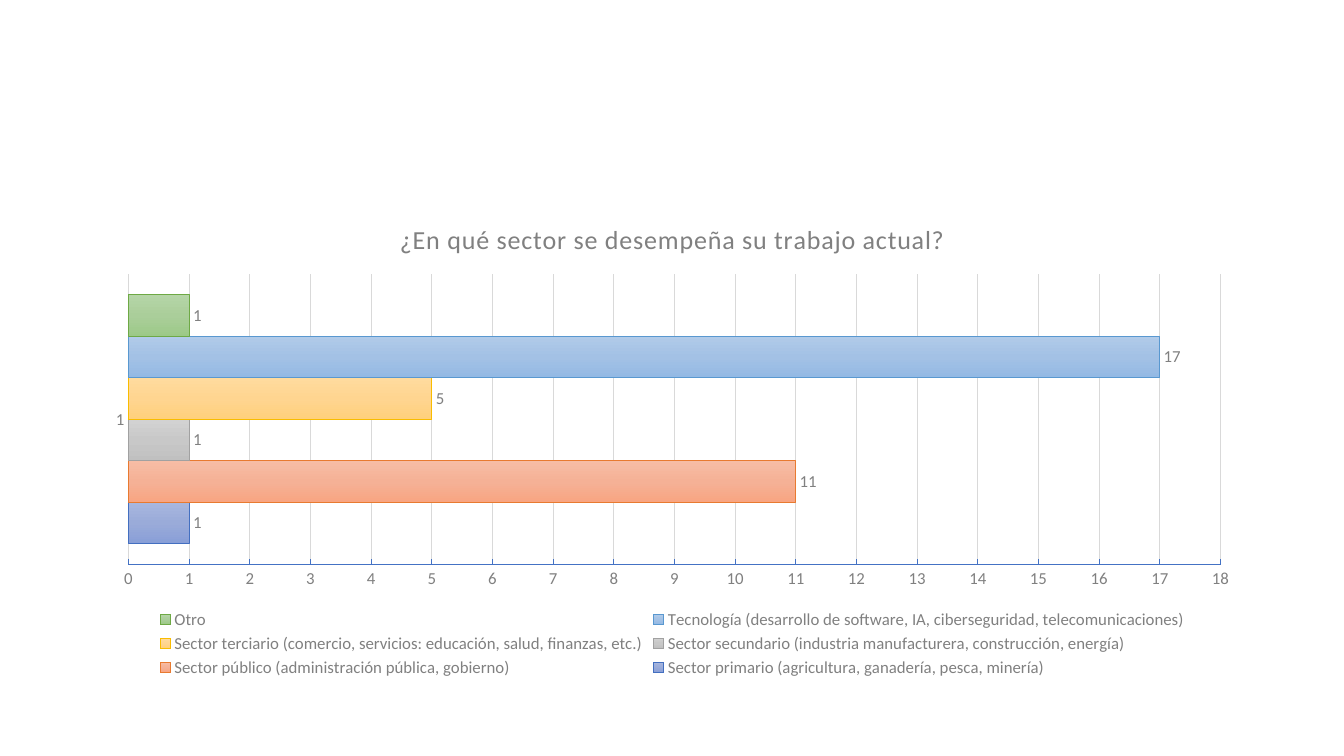
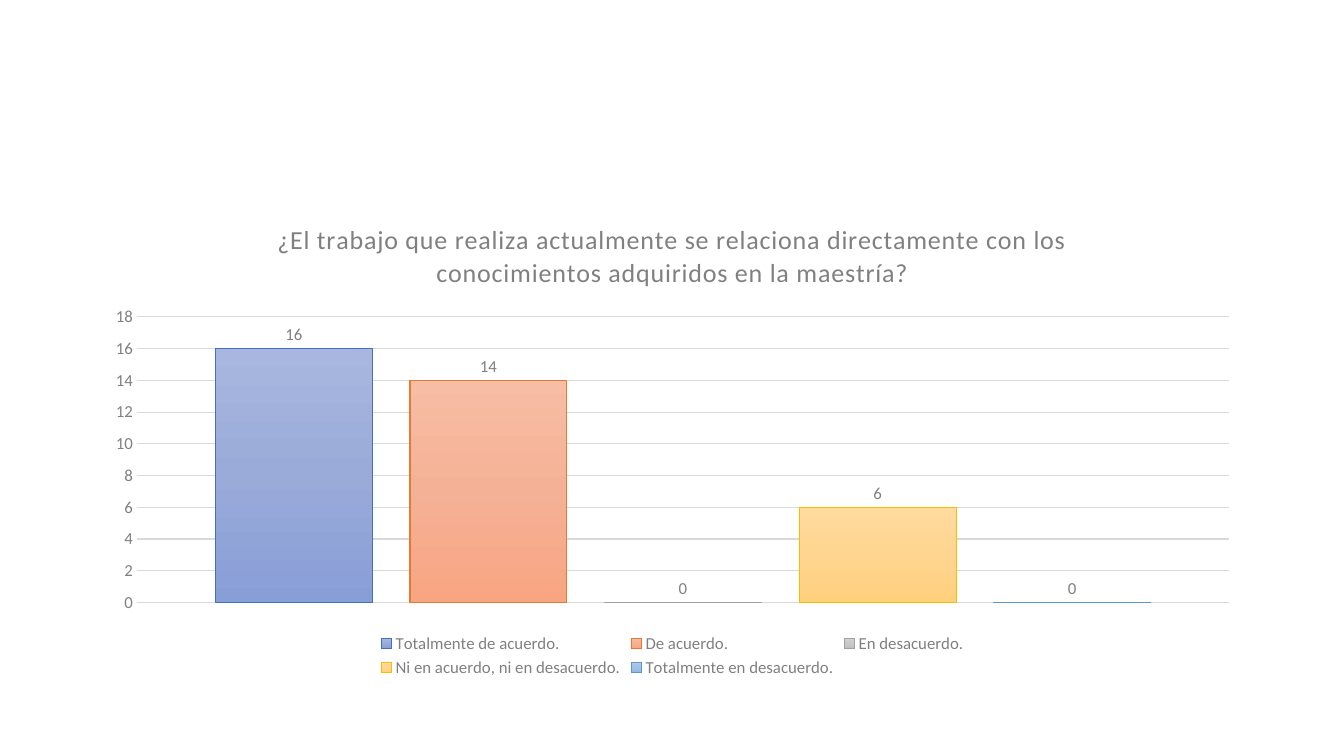
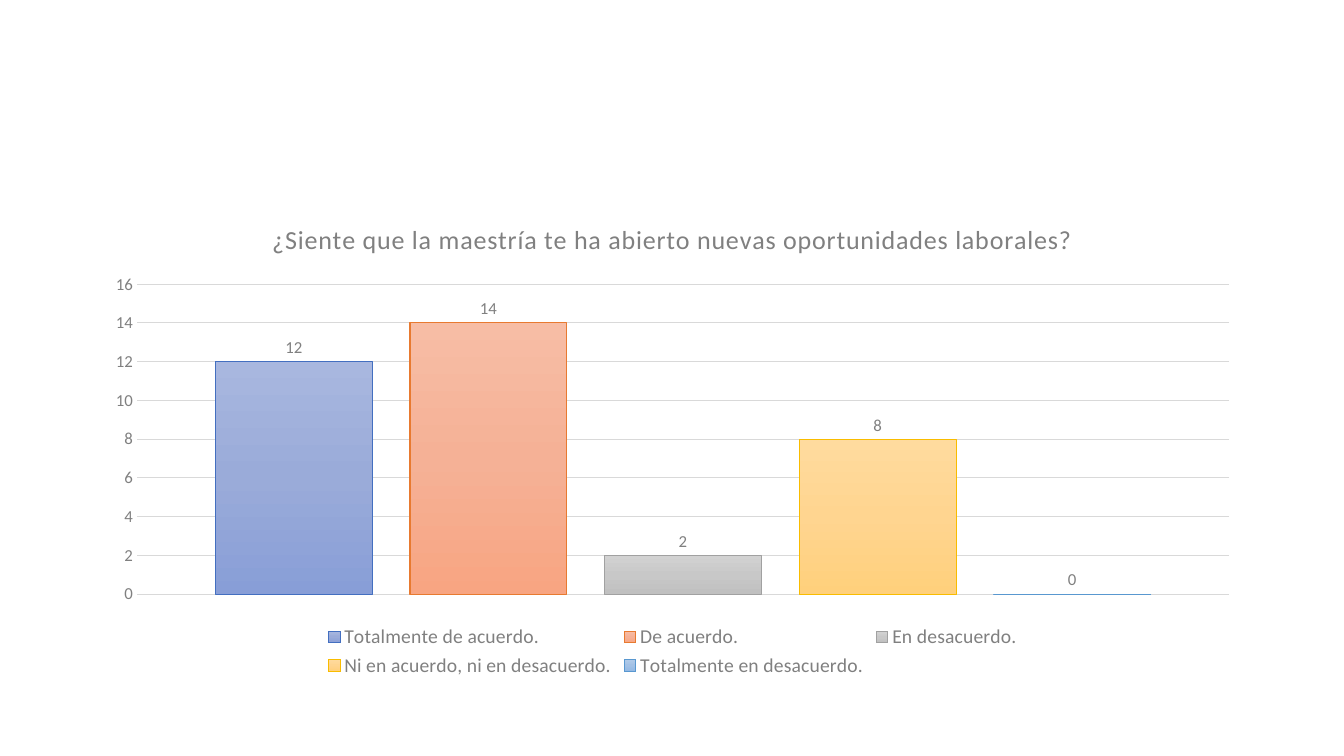
from lxml.etree import SubElement
from pptx import Presentation
from pptx.chart.data import CategoryChartData
from pptx.dml.color import RGBColor
from pptx.enum.chart import XL_CHART_TYPE as ChartType
from pptx.enum.chart import XL_LABEL_POSITION as LabelPosition
from pptx.enum.chart import XL_LEGEND_POSITION as LegendPosition
from pptx.enum.chart import XL_TICK_LABEL_POSITION as TickLabels
from pptx.enum.chart import XL_TICK_MARK as TickMark
from pptx.oxml.ns import qn
from pptx.util import Inches, Pt

FONT = "Calibri"
GREY = "808080"
GRID = "D9D9D9"
AXIS_BLUE = "4472C4"
SERIES_STYLES = [
    (("A8B7DF", "9AABD9", "889ED7"), "436FC0"),
    (("F7BDA5", "F5B196", "F8A582"), "E87A30"),
    (("D2D2D2", "C8C8C8", "C0C0C0"), "A1A1A1"),
    (("FFDB9E", "FFD590", "FFD07C"), "F9BC00"),
    (("B1CBE9", "A3C1E5", "93B9E4"), "5998D0"),
    (("B5D5A7", "AACE9A", "9CC987"), "6EA945"),
]
SECTORS = [
    ("Sector primario (agricultura, ganadería, pesca, minería)", 1),
    ("Sector público (administración pública, gobierno)", 11),
    ("Sector secundario (industria manufacturera, construcción, energía)", 1),
    ("Sector terciario (comercio, servicios: educación, salud, finanzas, etc.)", 5),
    ("Tecnología (desarrollo de software, IA, ciberseguridad, telecomunicaciones)", 17),
    ("Otro", 1),
]
AGREEMENT = [
    "Totalmente de acuerdo.",
    "De acuerdo.",
    "En desacuerdo.",
    "Ni en acuerdo, ni en desacuerdo.",
    "Totalmente en desacuerdo.",
]


def color(value):
    """Turn a hex string into a colour."""
    return RGBColor.from_string(value)


def style_font(font, size=12):
    """Apply the shared chart font."""
    font.name = FONT
    font.size = Pt(size)
    font.bold = False
    font.color.rgb = color(GREY)


def style_line(line, value):
    """Give a line its colour and the shared width."""
    line.color.rgb = color(value)
    line.width = Pt(0.75)


def fill_gradient(fill, shades):
    """Fill from top to bottom through evenly spaced shades."""
    fill.gradient()
    fill.gradient_angle = 270
    stops = fill.gradient_stops[0]._gs.getparent()
    for stop in list(stops):
        stops.remove(stop)
    for index, shade in enumerate(shades):
        position = 100000 * index // (len(shades) - 1)
        stop = SubElement(stops, qn("a:gs"), pos=str(position))
        SubElement(stop, qn("a:srgbClr"), val=shade)


def set_title(chart, text):
    """Write the chart title with slightly open letters."""
    chart.has_title = True
    chart.chart_title.include_in_layout = False
    para = chart.chart_title.text_frame.paragraphs[0]
    span = para.add_run()
    span.text = text
    style_font(span.font, 18.6)
    span.font._element.set("spc", "50")


def style_series(series, shades, outline):
    """Paint one series and show its values."""
    fill_gradient(series.format.fill, shades)
    style_line(series.format.line, outline)
    series.invert_if_negative = False
    labels = series.data_labels
    labels.show_value = True
    labels.position = LabelPosition.OUTSIDE_END
    style_font(labels.font)


def style_value_axis(axis):
    """Set the gridlines, labels and ticks of the value axis."""
    axis.minimum_scale = 0
    axis.has_major_gridlines = True
    style_line(axis.major_gridlines.format.line, GRID)
    axis.major_tick_mark = TickMark.NONE
    axis.minor_tick_mark = TickMark.NONE
    axis.tick_label_position = TickLabels.NEXT_TO_AXIS
    axis.format.line.fill.background()
    style_font(axis.tick_labels.font)


def add_survey_chart(deck, kind, title, answers, overlap=0, legend_size=12):
    """Add a slide with the chart of one survey question."""
    page = deck.slides.add_slide(deck.slide_layouts[6])
    data = CategoryChartData()
    data.categories = ["1"]
    for name, count in answers:
        data.add_series(name, [count])
    frame = page.shapes.add_chart(
        kind, Inches(0.92), Inches(2), Inches(11.5), Inches(4.76), data
    )
    chart = frame.chart
    chart.font.name = FONT
    chart.font.size = Pt(10)
    set_title(chart, title)
    chart.has_legend = True
    chart.legend.position = LegendPosition.BOTTOM
    chart.legend.include_in_layout = False
    style_font(chart.legend.font, legend_size)
    plot = chart.plots[0]
    plot.gap_width = 100
    plot.overlap = overlap
    plot.vary_by_categories = False
    for series, (shades, outline) in zip(plot.series, SERIES_STYLES):
        style_series(series, shades, outline)
    style_value_axis(chart.value_axis)
    return chart


def add_sector_chart(deck):
    """Add the bar chart of work sectors with both axes shown."""
    chart = add_survey_chart(
        deck, ChartType.BAR_CLUSTERED,
        "¿En qué sector se desempeña su trabajo actual?", SECTORS,
    )
    chart.value_axis.major_unit = 1
    chart.value_axis.major_tick_mark = TickMark.INSIDE
    style_line(chart.value_axis.format.line, AXIS_BLUE)
    axis = chart.category_axis
    axis.major_tick_mark = TickMark.NONE
    style_line(axis.format.line, GRID)
    style_font(axis.tick_labels.font)


def add_agreement_chart(deck, title, counts, legend_size=12):
    """Add a column chart of the agreement scale."""
    chart = add_survey_chart(
        deck, ChartType.COLUMN_CLUSTERED, title, zip(AGREEMENT, counts),
        overlap=-24, legend_size=legend_size,
    )
    chart.category_axis.visible = False


def main():
    """Build the deck and save it."""
    deck = Presentation()
    deck.slide_width = Inches(13.33)
    deck.slide_height = Inches(7.5)
    add_sector_chart(deck)
    add_agreement_chart(
        deck,
        "¿El trabajo que realiza actualmente se relaciona directamente con los "
        "conocimientos adquiridos en la maestría?",
        [16, 14, 0, 6, 0],
    )
    add_agreement_chart(
        deck,
        "¿Siente que la maestría te ha abierto nuevas oportunidades laborales?",
        [12, 14, 2, 8, 0],
        legend_size=14,
    )
    deck.save("out.pptx")


if __name__ == "__main__":
    main()
